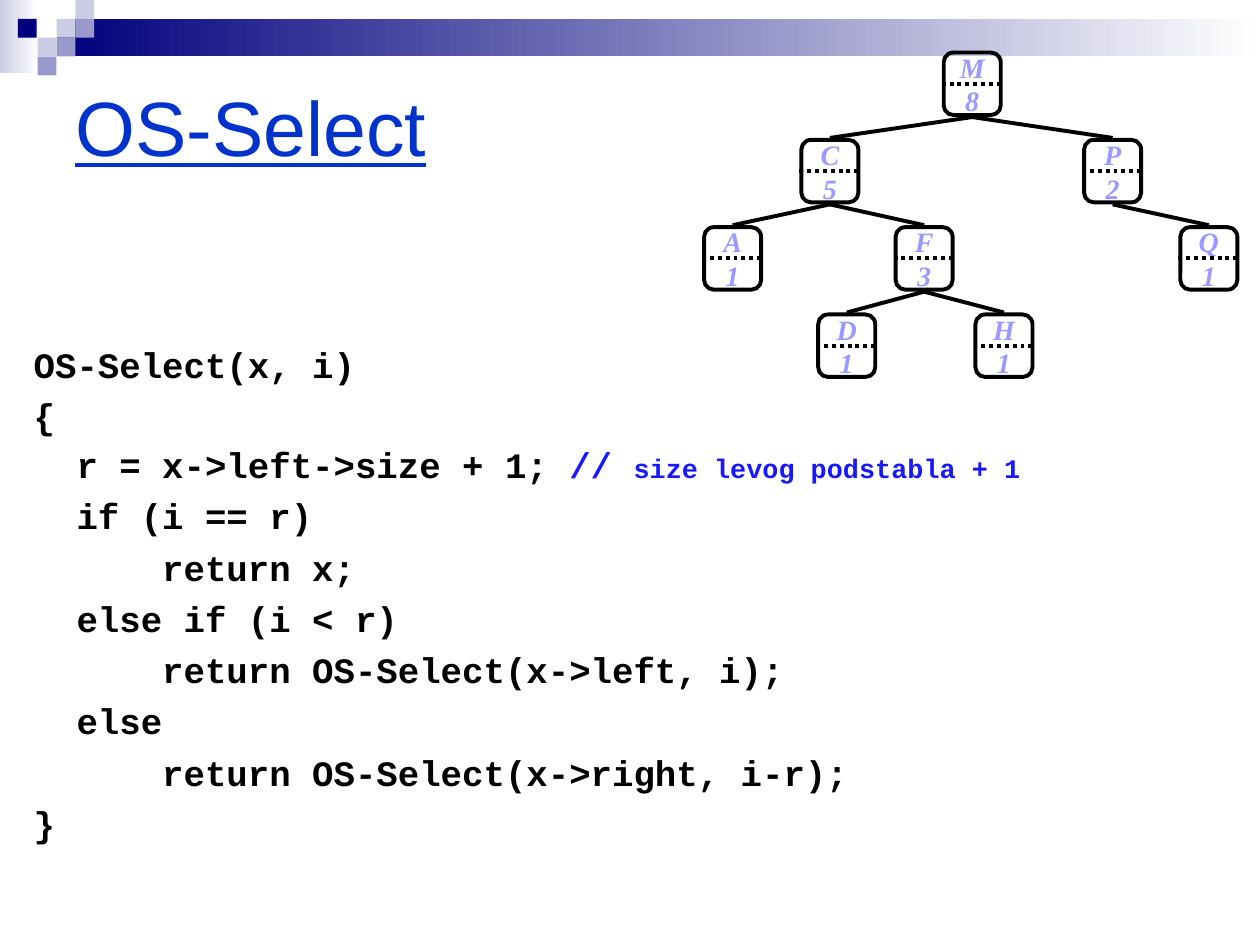
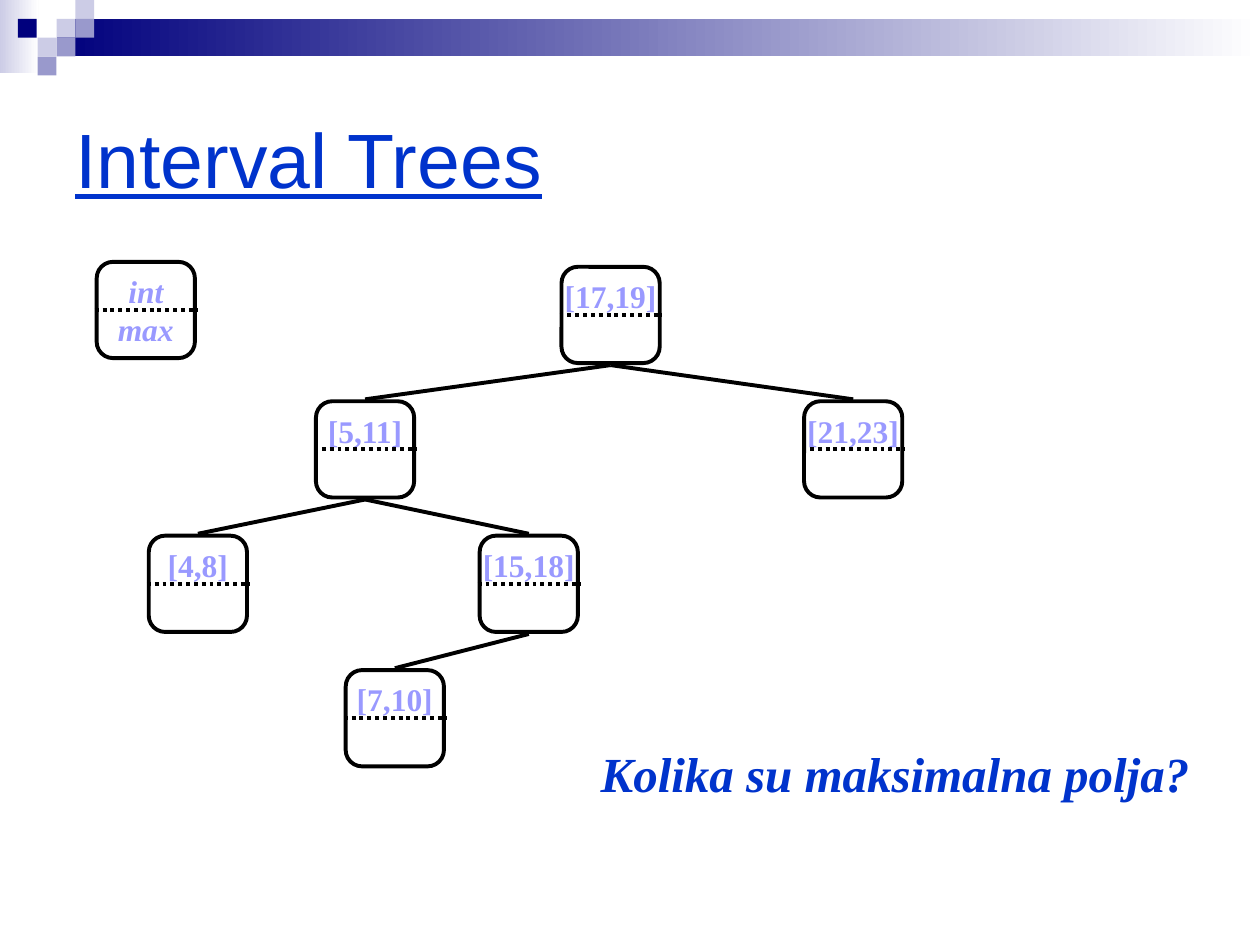
from dataclasses import dataclass, replace
from typing import NamedTuple, Optional

from lxml.etree import SubElement
from pptx import Presentation
from pptx.dml.color import RGBColor
from pptx.enum.dml import MSO_LINE
from pptx.enum.shapes import MSO_CONNECTOR, MSO_SHAPE
from pptx.enum.text import MSO_ANCHOR, PP_ALIGN
from pptx.oxml.ns import qn
from pptx.util import Cm, Pt

BLACK = RGBColor(0x00, 0x00, 0x00)
WHITE = RGBColor(0xFF, 0xFF, 0xFF)
NAVY = RGBColor(0x00, 0x00, 0x7D)
LAVENDER = RGBColor(0xCC, 0xCC, 0xE6)
PERIWINKLE = RGBColor(0x99, 0x99, 0xCC)
TITLE_BLUE = RGBColor(0x00, 0x33, 0xCC)
LABEL_BLUE = RGBColor(0x99, 0x99, 0xFF)
COMMENT_BLUE = RGBColor(0x18, 0x18, 0xFF)

SANS, SERIF, MONO = "Arial", "Times New Roman", "Courier New"
SLIDE_W, SLIDE_H = 25.4, 19.05
TILE = 0.38
LINE_WIDTH = Pt(2.25)
GAP = 0.04  # edges stop this far from a box, dividers overhang it by as much


class Tile(NamedTuple):
    x: float
    y: float
    color: RGBColor


class Node(NamedTuple):
    label: str
    center: float
    level: int
    parent: Optional[int] = None


@dataclass(frozen=True)
class TreeStyle:
    width: float
    height: float
    top: float
    step: float
    size: int
    italic: bool

    def y(self, level: int) -> float:
        return self.top + level * self.step


TILES = [
    Tile(1.14, 0.38, LAVENDER),
    Tile(1.52, 0, LAVENDER),
    Tile(1.52, 0.38, PERIWINKLE),
    Tile(0.76, 0.76, LAVENDER),
    Tile(0.36, 0.38, NAVY),
    Tile(1.14, 0.76, PERIWINKLE),
    Tile(0.76, 1.14, PERIWINKLE),
]

SIZE_TREE_STYLE = TreeStyle(1.15, 1.26, 1.06, 1.76, 16, True)
SIZE_TREE = [
    Node("M\n8", 19.6, 0),
    Node("C\n5", 16.73, 1, 0),
    Node("P\n2", 22.43, 1, 0),
    Node("A\n1", 14.77, 2, 1),
    Node("F\n3", 18.63, 2, 1),
    Node("Q\n1", 24.37, 2, 2),
    Node("D\n1", 17.07, 3, 4),
    Node("H\n1", 20.24, 3, 4),
]

INTERVAL_TREE_STYLE = TreeStyle(1.98, 1.94, 5.38, 2.71, 18, False)
INTERVAL_TREE = [
    Node("[17,19]\n", 12.31, 0),
    Node("[5,11]\n", 7.36, 1, 0),
    Node("[21,23]\n", 17.2, 1, 0),
    Node("[4,8]\n", 3.99, 2, 1),
    Node("[15,18]\n", 10.66, 2, 1),
    Node("[7,10]\n", 7.96, 3, 4),
]
LEGEND = Node("int\nmax", 2.94, 0)

CODE = """\
OS-Select(x, i)
{
  r = x->left->size + 1; // size levog podstabla + 1
  if (i == r)
      return x;
  else if (i < r)
      return OS-Select(x->left, i);
  else
      return OS-Select(x->right, i-r);
}""".splitlines()


def add_rect(slide, x: float, y: float, w: float, h: float, color: RGBColor, fade: bool = False):
    """Add a borderless rectangle, optionally fading to white on the right."""
    sp = slide.shapes.add_shape(MSO_SHAPE.RECTANGLE, Cm(x), Cm(y), Cm(w), Cm(h))
    sp.shadow.inherit = False
    sp.line.fill.background()
    if fade:
        sp.fill.gradient()
        sp.fill.gradient_angle = 0
        for stop, position, stop_color in zip(sp.fill.gradient_stops, (0, 1), (color, WHITE)):
            stop.position = position
            stop.color.rgb = stop_color
    else:
        sp.fill.solid()
        sp.fill.fore_color.rgb = color


def add_text_box(slide, x: float, y: float, w: float, h: float, wrap: bool = True):
    tf = slide.shapes.add_textbox(Cm(x), Cm(y), Cm(w), Cm(h)).text_frame
    tf.word_wrap = wrap
    return tf


def set_font(font, name: str, size: float, color: RGBColor, bold: bool = False, italic: bool = False):
    font.name, font.size = name, Pt(size)
    font.bold, font.italic = bold, italic
    font.color.rgb = color


def add_line(slide, x1: float, y1: float, x2: float, y2: float, dotted: bool = False):
    line = slide.shapes.add_connector(MSO_CONNECTOR.STRAIGHT, Cm(x1), Cm(y1), Cm(x2), Cm(y2))
    line.line.color.rgb = BLACK
    line.line.width = LINE_WIDTH
    if dotted:
        line.line.dash_style = MSO_LINE.ROUND_DOT
    SubElement(line._element.spPr, qn("a:effectLst"))


def add_node(slide, node: Node, style: TreeStyle):
    left, top = node.center - style.width / 2, style.y(node.level)
    sp = slide.shapes.add_shape(
        MSO_SHAPE.ROUNDED_RECTANGLE, Cm(left), Cm(top), Cm(style.width), Cm(style.height)
    )
    sp.adjustments[0] = 0.17
    sp.shadow.inherit = False
    sp.fill.background()
    sp.line.color.rgb = BLACK
    sp.line.width = LINE_WIDTH
    tf = sp.text_frame
    tf.word_wrap = False
    tf.vertical_anchor = MSO_ANCHOR.MIDDLE
    p = tf.paragraphs[0]
    p.text = node.label
    p.alignment = PP_ALIGN.CENTER
    set_font(p.font, SERIF, style.size, LABEL_BLUE, bold=True, italic=style.italic)
    middle = top + style.height / 2
    add_line(slide, left - GAP, middle, left + style.width + GAP, middle, dotted=True)


def add_tree(slide, nodes: list[Node], style: TreeStyle):
    for node in nodes:
        add_node(slide, node, style)
    for node in nodes:
        if node.parent is not None:
            parent = nodes[node.parent]
            start = style.y(parent.level) + style.height + GAP
            add_line(slide, parent.center, start, node.center, style.y(node.level) - GAP)


def add_code(slide):
    tf = add_text_box(slide, 0.43, 6.78, 24.97, 10.8)
    for i, code_line in enumerate(CODE):
        p = tf.add_paragraph() if i else tf.paragraphs[0]
        statement, slashes, comment = code_line.partition("// ")
        if i:
            p.space_before = Pt(3.6 if comment else 4.8)
        set_font(p.font, MONO, 20.4, BLACK, bold=True)
        p.add_run().text = statement
        if comment:
            for text, size in ((slashes, 20.4), (comment, 15.3)):
                r = p.add_run()
                r.text = text
                set_font(r.font, MONO, size, COMMENT_BLUE, bold=True)


def add_titled_slide(prs, title: str, title_height: float):
    """Add a slide with the shared band, corner tiles and title."""
    slide = prs.slides.add_slide(prs.slide_layouts[6])
    add_rect(slide, 0, 0, 0.78, 1.48, LAVENDER, fade=True)
    add_rect(slide, 1.14, TILE, SLIDE_W - 1.14, 2 * TILE, NAVY, fade=True)
    for tile in TILES:
        add_rect(slide, tile.x, tile.y, TILE, TILE, tile.color)
    tf = add_text_box(slide, 1.27, 1.27, 22.86, title_height)
    tf.vertical_anchor = MSO_ANCHOR.MIDDLE
    p = tf.paragraphs[0]
    p.text = title
    set_font(p.font, SANS, 44, TITLE_BLUE)
    p.font.underline = True
    return slide


def build_os_select(prs):
    slide = add_titled_slide(prs, "OS-Select", 2.54)
    add_code(slide)
    add_tree(slide, SIZE_TREE, SIZE_TREE_STYLE)


def build_interval_trees(prs):
    slide = add_titled_slide(prs, "Interval Trees", 3.81)
    add_tree(slide, INTERVAL_TREE, INTERVAL_TREE_STYLE)
    add_node(slide, LEGEND, replace(INTERVAL_TREE_STYLE, top=5.28, italic=True))
    p = add_text_box(slide, 11.86, 14.86, 12.37, 1.45, wrap=False).paragraphs[0]
    p.text = "Kolika su maksimalna polja?"
    set_font(p.font, SERIF, 28, TITLE_BLUE, bold=True, italic=True)


def main():
    prs = Presentation()
    prs.slide_width, prs.slide_height = Cm(SLIDE_W), Cm(SLIDE_H)
    build_os_select(prs)
    build_interval_trees(prs)
    prs.save("out.pptx")


if __name__ == "__main__":
    main()
